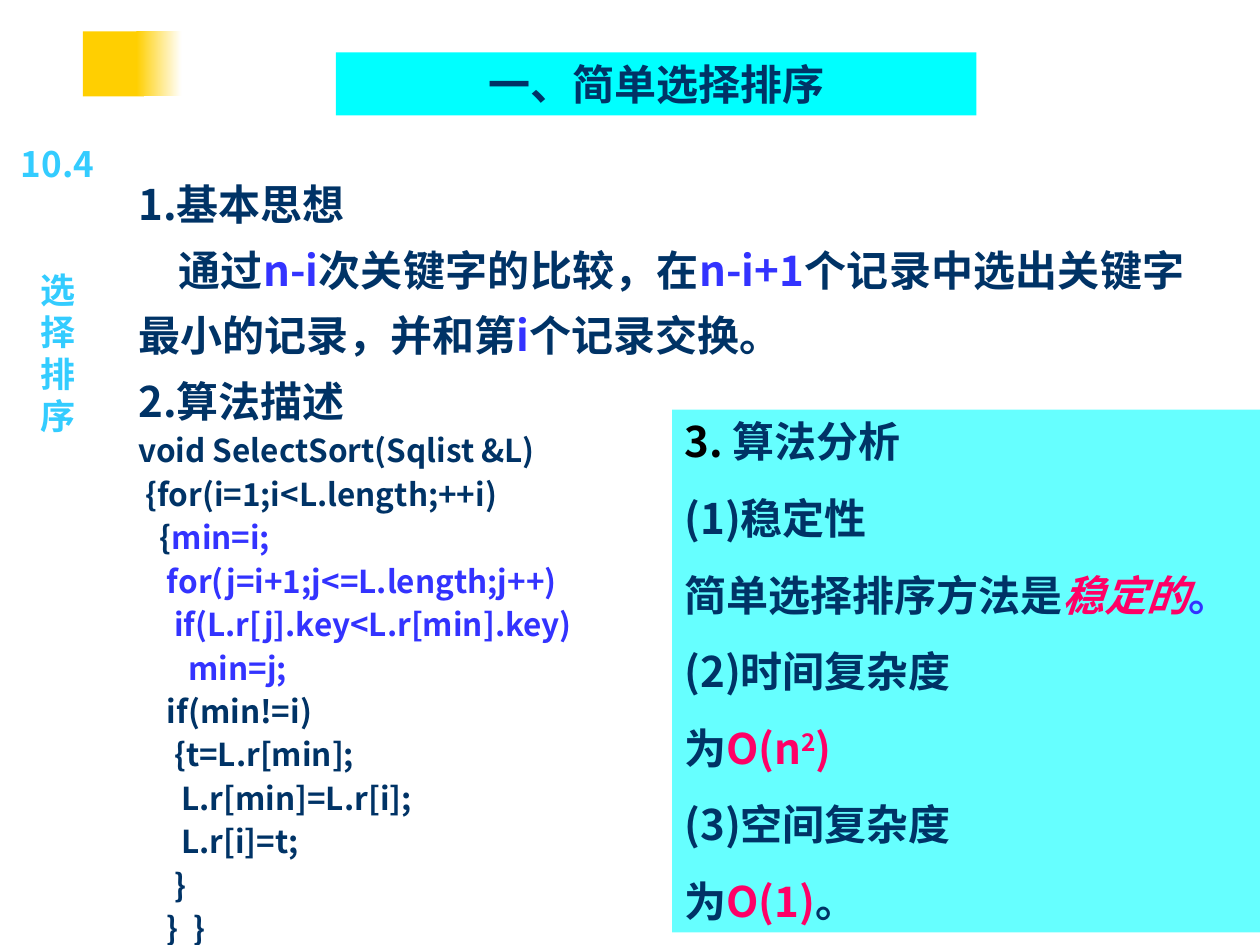
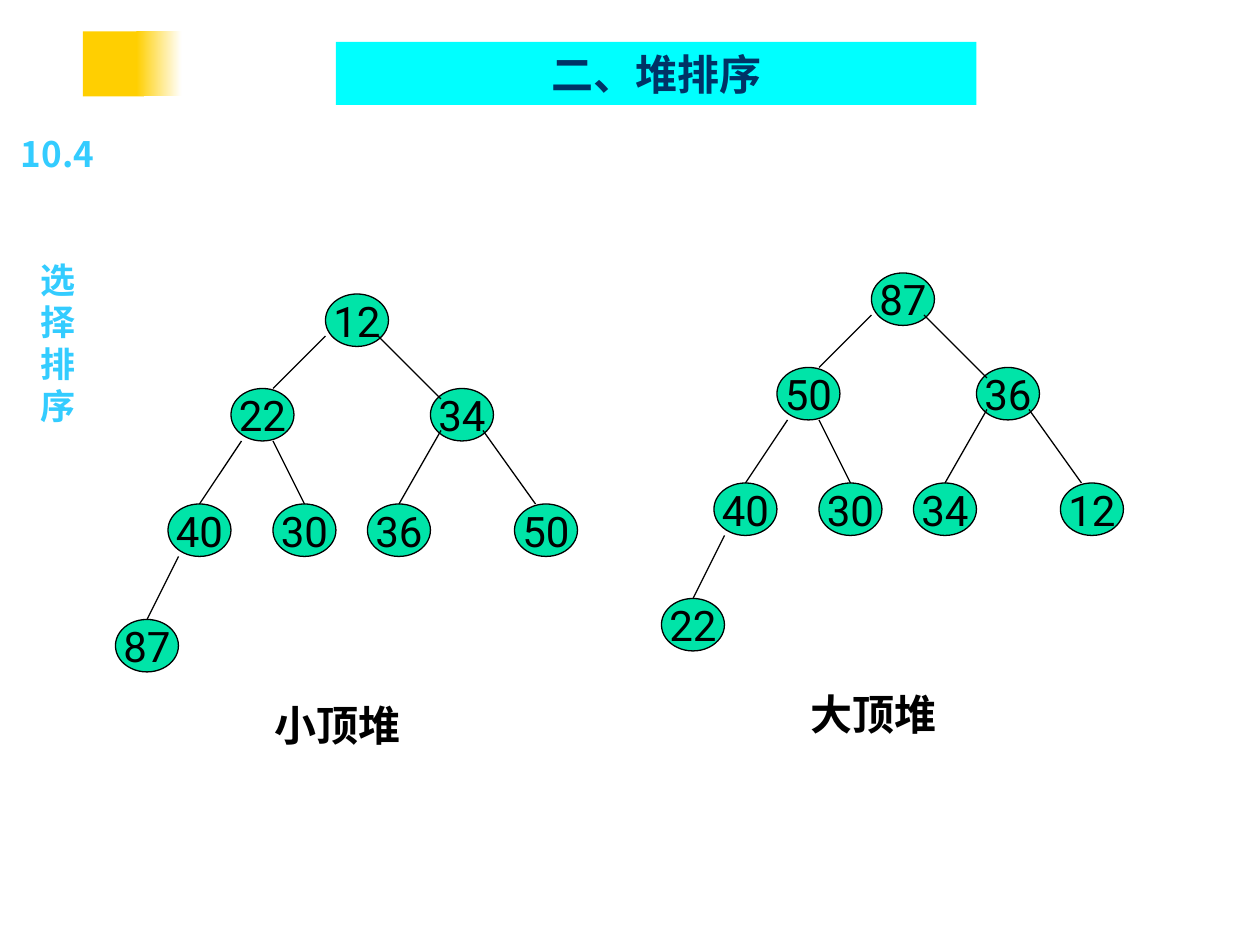
from lxml import etree
from pptx import Presentation
from pptx.dml.color import RGBColor
from pptx.enum.shapes import MSO_CONNECTOR, MSO_SHAPE
from pptx.enum.text import MSO_ANCHOR as ANCHOR, PP_ALIGN as ALIGN
from pptx.oxml.ns import qn
from pptx.util import Inches, Pt

CELL = 1 / 12  # grid step in inches; every place below is counted in cells
CJK, LATIN = "Noto Sans CJK SC", "Roboto"
NAVY, BLUE, PINK, BLACK = "003366", "3333FF", "FF0066", "000000"
SKY, CYAN, PALE, GOLD, WHITE, GREEN = "33CCFF", "00FFFF", "66FFFF", "FFCF01", "FFFFFF", "00E4A8"

SECTION = ["10.4", "选", "择", "排", "序"]
SLIDE_TOPS = {"一、简单选择排序": (5, 13), "二、堆排序": (4, 12)}  # title, sidebar

# A paragraph is a list of runs: (text, colour, extra font values)
IDEA = [
    [("1.基本思想", NAVY)],
    [("通过", NAVY), ("n-i", BLUE), ("次关键字的比较，在", NAVY), ("n-i+1", BLUE),
     ("个记录中选出关键字最小的记录，并和第", NAVY), ("i", BLUE), ("个记录交换。", NAVY)],
    [("2.算法描述", NAVY)],
]
CODE = [
    [("void SelectSort(Sqlist &L)", NAVY)],
    [(" {for(i=1;i<L.length;++i)", NAVY)],
    [("   {", NAVY), ("min=i;", BLUE)],
    [("    for(j=i+1;j<=L.length;j++)", BLUE)],
    [("     if(L.r[j].key<L.r[min].key)", BLUE)],
    [("       min=j;", BLUE)],
    [("    if(min!=i)", NAVY)],
    [("     {t=L.r[min];", NAVY)],
    [("      L.r[min]=L.r[i];", NAVY)],
    [("      L.r[i]=t;", NAVY)],
    [("     }", NAVY)],
    [("    }  }", NAVY)],
]
ANALYSIS = [
    [("3. ", BLACK), ("算法分析", NAVY)],
    [("(1)稳定性", NAVY)],
    [("简单选择排序方法是", NAVY), ("稳定的", PINK, {"italic": True}), ("。", BLUE)],
    [("(2)时间复杂度", NAVY)],
    [("为", NAVY), ("O(n", PINK), ("2", PINK, {"superscript": True}), (")", PINK)],
    [("(3)空间复杂度", NAVY)],
    [("为", NAVY), ("O(1)", PINK), ("。", NAVY)],
]

NODE_SIZE = (6, 5)
# Nodes level by level: column and row from the tree's corner
NODES = [(20, 0), (11, 9), (30, 9), (5, 20), (15, 20), (24, 20), (38, 20), (0, 31)]
# Child index: edge start and end
EDGES = {
    1: ((20, 4), (15, 9)), 2: ((25, 4), (31, 10)),
    3: ((12, 14), (8, 20)), 4: ((15, 14), (18, 20)),
    5: ((31, 13), (27, 20)), 6: ((35, 13), (40, 20)),
    7: ((6, 25), (3, 31)),
}
HEAPS = [
    {"name": "小顶堆", "corner": (11, 28), "caption": (25, 66),
     "keys": [12, 22, 34, 40, 30, 36, 50, 87]},
    {"name": "大顶堆", "corner": (63, 26), "caption": (76, 65),
     "keys": [87, 50, 36, 40, 30, 34, 12, 22]},
]


def rgb(value):
    return RGBColor.from_string(value)


def cells(*counts):
    return [Inches(n * CELL) for n in counts]


def add_run(p, text, color, extra=None, size=24, font=CJK, bold=True):
    r = p.add_run()
    r.text = text
    extra = dict(extra or {})
    raised = extra.pop("superscript", False)
    for name, value in {"size": Pt(size), "name": font, "bold": bold, **extra}.items():
        setattr(r.font, name, value)
    r.font.color.rgb = rgb(color)
    rpr = r.font._element
    etree.SubElement(rpr, qn("a:ea")).set("typeface", CJK)
    if raised:
        rpr.set("baseline", "30000")


def write(sp, paragraphs, align=ALIGN.LEFT, before=0, spacing=None, more=False, **font):
    """Fill a shape with paragraphs of runs; more=True appends to its text."""
    tf = sp.text_frame
    if not more:
        tf.word_wrap, tf.vertical_anchor = True, ANCHOR.TOP
    for i, runs in enumerate(paragraphs):
        first = i == 0 and not more
        p = tf.paragraphs[0] if first else tf.add_paragraph()
        p.alignment = align
        p.space_before = Pt(0 if first else before)
        if spacing:
            p.line_spacing = spacing
        for run in runs:
            add_run(p, *run, **font)
    return tf


def add_box(s, place, fill, shape=MSO_SHAPE.RECTANGLE, line=None):
    sp = s.shapes.add_shape(shape, *cells(*place))
    sp.shadow.inherit = False
    sp.fill.solid()
    sp.fill.fore_color.rgb = rgb(fill)
    if line:
        sp.line.color.rgb, sp.line.width = rgb(line), Pt(0.75)
    else:
        sp.line.fill.background()
    return sp


def add_text(s, place):
    return s.shapes.add_textbox(*cells(*place))


def start_slide(prs, title):
    """Add a slide with the corner mark, the section sidebar and the title band."""
    s = prs.slides.add_slide(prs.slide_layouts[6])
    title_top, sidebar_top = SLIDE_TOPS[title]
    add_box(s, (7.9, 3, 5.8, 6.2), GOLD)
    fade = add_box(s, (13, 3, 4.3, 6.2), GOLD)
    fade.fill.gradient()
    fade.fill.gradient_angle = 0
    for stop, color, position in zip(fade.fill.gradient_stops, (GOLD, WHITE), (0, 1)):
        stop.color.rgb, stop.position = rgb(color), position

    sidebar = add_text(s, (0, sidebar_top, 11, 29.3))
    tf = write(sidebar, [[(word, SKY)] for word in SECTION], ALIGN.CENTER, size=20)
    tf.paragraphs[1].space_before = Pt(48)
    write(add_box(s, (32, title_top, 61, 6), CYAN), [[(title, NAVY)]], ALIGN.CENTER)
    return s


def draw_heap(s, heap):
    left, top = heap["corner"]
    width, height = NODE_SIZE
    nodes = []
    for (col, row), key in zip(NODES, heap["keys"]):
        sp = add_box(s, (left + col, top + row, width, height), GREEN, MSO_SHAPE.OVAL, BLACK)
        tf = write(sp, [[(str(key), BLACK)]], ALIGN.CENTER, font=LATIN, bold=False)
        tf.word_wrap, tf.vertical_anchor = False, ANCHOR.MIDDLE
        nodes.append(sp)
    for child, ((x1, y1), (x2, y2)) in EDGES.items():
        edge = s.shapes.add_connector(
            MSO_CONNECTOR.STRAIGHT, *cells(left + x1, top + y1, left + x2, top + y2))
        edge.line.color.rgb, edge.line.width = rgb(BLACK), Pt(0.75)
        etree.SubElement(edge._element.spPr, qn("a:effectLst"))
        col, row = NODES[child]
        if (x2, y2) == (col + width / 2, row):
            edge.end_connect(nodes[child], 0)
    write(add_text(s, (*heap["caption"], 29, 6)), [[(heap["name"], BLACK)]], font=LATIN)


def main():
    prs = Presentation()
    prs.slide_width, prs.slide_height = Inches(10), Inches(7.5)
    selection_title, heap_title = SLIDE_TOPS

    s = start_slide(prs, selection_title)
    body = add_text(s, (12, 15, 102, 75))
    tf = write(body, IDEA, ALIGN.JUSTIFY, spacing=1.3)
    tf.paragraphs[1]._p.get_or_add_pPr().set("indent", str(Inches(0.32)))
    write(body, CODE, ALIGN.JUSTIFY, spacing=1.15, more=True, size=18)
    write(add_box(s, (64, 39, 56, 49.8), PALE), ANALYSIS, before=15)

    s = start_slide(prs, heap_title)
    for heap in HEAPS:
        draw_heap(s, heap)
    prs.save("out.pptx")


if __name__ == "__main__":
    main()
